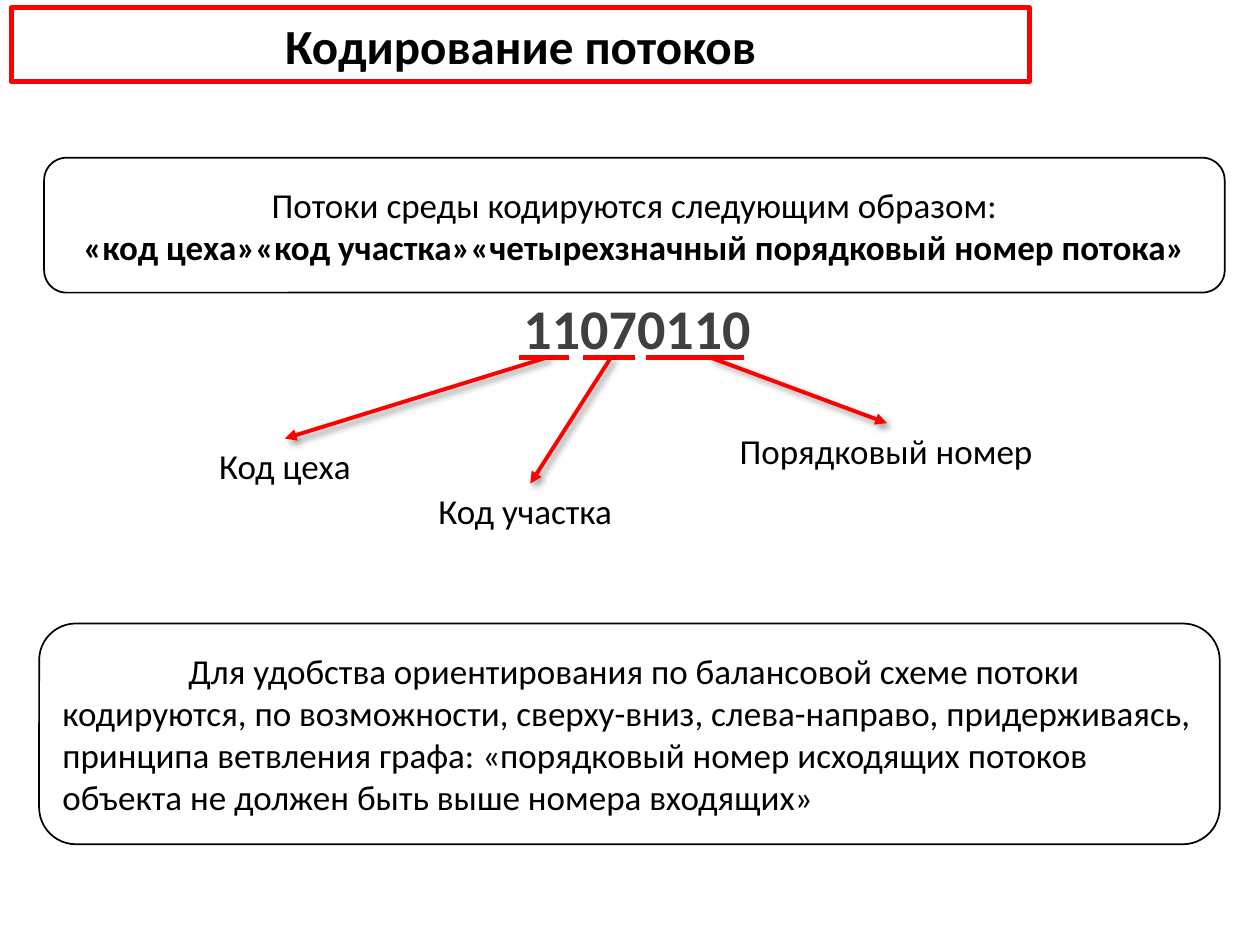
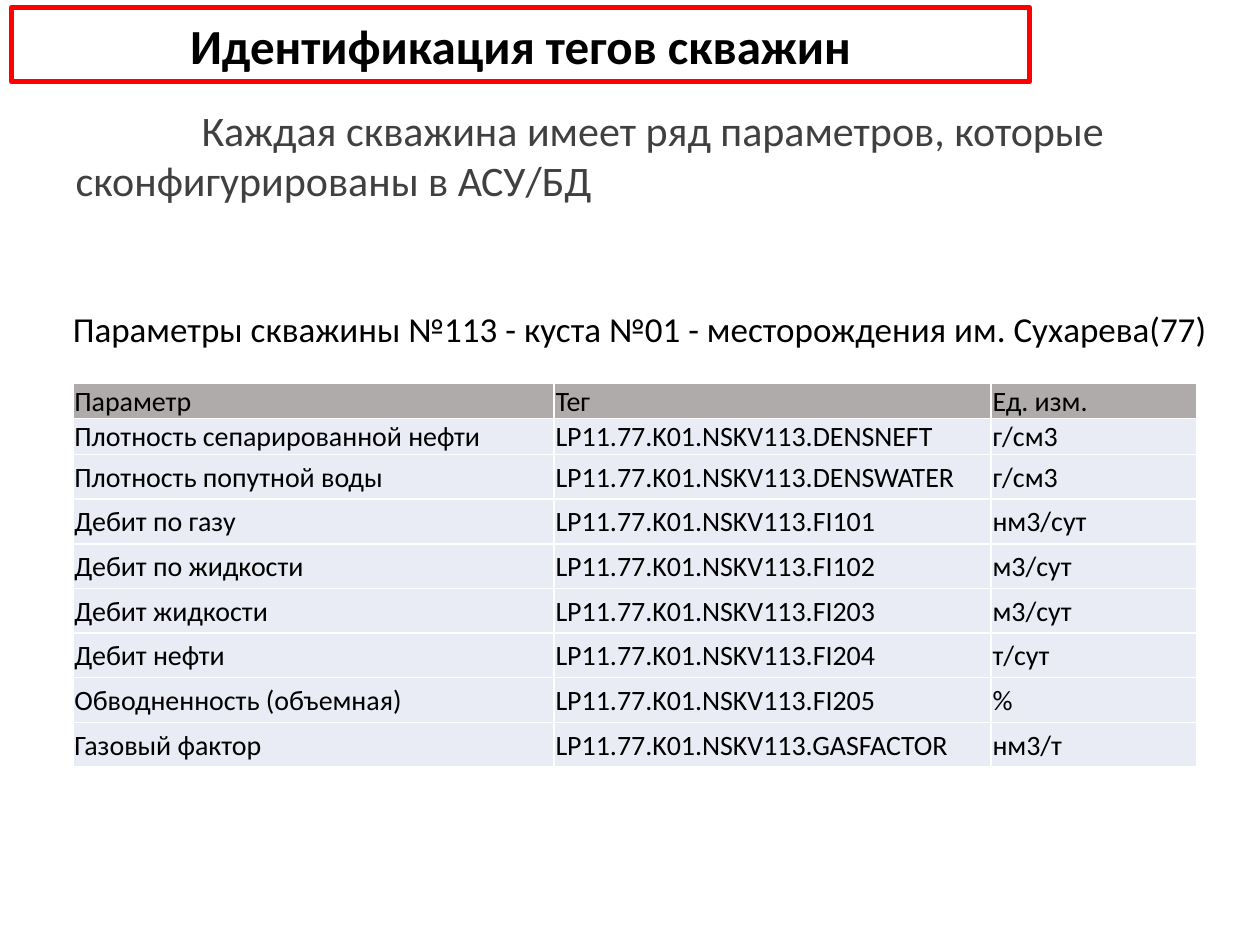
"""Builds two slides on flow coding and well tag identification."""
from dataclasses import dataclass

from lxml.etree import SubElement
from pptx import Presentation
from pptx.dml.color import RGBColor as Rgb
from pptx.enum.shapes import MSO_CONNECTOR as Connector, MSO_SHAPE as Preset
from pptx.enum.text import MSO_ANCHOR as Anchor, MSO_AUTO_SIZE as AutoSize, PP_ALIGN as Align
from pptx.oxml import parse_xml
from pptx.oxml.ns import nsdecls, qn
from pptx.util import Cm, Pt


@dataclass(frozen=True)
class Theme:
    font: str = "Calibri"
    black: Rgb = Rgb(0, 0, 0)
    white: Rgb = Rgb(255, 255, 255)
    red: Rgb = Rgb(255, 0, 0)
    gray: Rgb = Rgb(0x40, 0x40, 0x40)
    header: Rgb = Rgb(0xAF, 0xAB, 0xAB)
    row: Rgb = Rgb(0xE9, 0xEB, 0xF5)
    title_size: int = 28
    code_size: int = 32
    lead_size: int = 24
    text_size: int = 20
    cell_size: int = 16


def assign(target, values):
    for name, value in values.items():
        setattr(target, name, value)


def place(shape, area):
    assign(shape, dict(zip(("left", "top", "width", "height"), map(Cm, area))))


class SlideBuilder:
    def __init__(self, deck, theme):
        self.deck = deck
        self.theme = theme
        self.page = None

    def fill_text(self, frame, lines, size, color=None, bold=False, align=Align.LEFT,
                  anchor=Anchor.TOP, wrap=True, indent=0):
        assign(frame, {"auto_size": AutoSize.NONE, "word_wrap": wrap, "vertical_anchor": anchor})
        for index, line in enumerate(lines):
            para = frame.add_paragraph() if index else frame.paragraphs[0]
            para.alignment = align
            props = para._p.get_or_add_pPr()
            props.set("marL", "0")
            props.set("indent", str(Cm(indent)))
            SubElement(props, qn("a:buNone"))
            span = para.add_run()
            span.text = line
            assign(span.font, {"name": self.theme.font, "size": Pt(size), "bold": bold})
            span.font.color.rgb = color or self.theme.black

    def outline(self, shape, color, width):
        shape.fill.solid()
        shape.fill.fore_color.rgb = self.theme.white
        shape.line.color.rgb = color
        shape.line.width = Pt(width)

    def start(self, heading):
        self.page = self.deck.slides.add_slide(self.deck.slide_layouts[1])
        title = self.page.shapes.title
        place(title, (0.23, 0.15, 20.52, 1.5))
        title._element.spPr.append(
            parse_xml(f'<a:prstGeom {nsdecls("a")} prst="roundRect"><a:avLst/></a:prstGeom>'))
        self.outline(title, self.theme.red, 3)
        self.fill_text(title.text_frame, [heading], self.theme.title_size, bold=True,
                       align=Align.CENTER, anchor=Anchor.MIDDLE)

    def body(self, area, text, size, **style):
        holder = self.page.placeholders[1]
        place(holder, area)
        self.fill_text(holder.text_frame, [text], size, self.theme.gray, **style)

    def panel(self, area, lines, **style):
        box = self.page.shapes.add_shape(Preset.ROUNDED_RECTANGLE, *map(Cm, area))
        box.shadow.inherit = False
        self.outline(box, self.theme.black, 1)
        self.fill_text(box.text_frame, lines, self.theme.text_size, anchor=Anchor.MIDDLE, **style)
        return box

    def label(self, area, text, **style):
        box = self.page.shapes.add_textbox(*map(Cm, area))
        self.fill_text(box.text_frame, [text], self.theme.text_size, **style)

    def line(self, start, end, width, arrow=False):
        link = self.page.shapes.add_connector(Connector.STRAIGHT, *map(Cm, start + end))
        link.line.color.rgb = self.theme.red
        link.line.width = Pt(width)
        effects = SubElement(link._element.spPr, qn("a:effectLst"))
        if arrow:
            SubElement(link.line._ln, qn("a:tailEnd"), type="triangle")
            shadow = SubElement(effects, qn("a:outerShdw"), blurRad=str(Pt(4)),
                                dist=str(Pt(3)), dir="2700000", rotWithShape="0")
            shade = SubElement(shadow, qn("a:srgbClr"), val=str(self.theme.black))
            SubElement(shade, qn("a:alpha"), val="40000")

    def cell(self, cell, text, color):
        assign(cell, {"margin_left": Cm(0.03), "margin_right": Cm(0.03), "margin_top": Cm(0.03),
                      "margin_bottom": 0, "vertical_anchor": Anchor.MIDDLE})
        props = cell._tc.get_or_add_tcPr()
        for side in ("lnL", "lnR", "lnT", "lnB"):
            border = SubElement(props, qn(f"a:{side}"), w=str(Pt(1)))
            fill = SubElement(border, qn("a:solidFill"))
            SubElement(fill, qn("a:srgbClr"), val=str(self.theme.white))
        cell.fill.solid()
        cell.fill.fore_color.rgb = color
        para = cell.text_frame.paragraphs[0]
        span = para.add_run()
        span.text = text
        assign(span.font, {"name": self.theme.font, "size": Pt(self.theme.cell_size), "bold": False})
        span.font.color.rgb = self.theme.black

    def table(self, corner, widths, heights, rows):
        area = (*corner, sum(widths), sum(heights))
        grid = self.page.shapes.add_table(len(rows), len(widths), *map(Cm, area)).table
        assign(grid, {"first_row": False, "horz_banding": False})
        for column, width in zip(grid.columns, widths):
            column.width = Cm(width)
        for index, (height, texts) in enumerate(zip(heights, rows)):
            grid.rows[index].height = Cm(height)
            color = self.theme.row if index else self.theme.header
            for column, text in enumerate(texts):
                self.cell(grid.cell(index, column), text, color)


def flow_coding(builder):
    builder.start("Кодирование потоков")
    builder.panel((0.79, 12.57, 23.8, 4.45), [
        "Для удобства ориентирования по балансовой схеме потоки кодируются, по возможности, "
        "сверху-вниз, слева-направо, придерживаясь, принципа ветвления графа: «порядковый номер "
        "исходящих потоков объекта не должен быть выше номера входящих»"], indent=2.54)
    rule = builder.panel((0.89, 3.18, 23.8, 2.72), [
        "Потоки среды кодируются следующим образом:",
        "«код цеха»«код участка»«четырехзначный порядковый номер потока»"], align=Align.CENTER)
    rule.text_frame.paragraphs[1].runs[0].font.bold = True
    builder.body((2.24, 5.79, 21.21, 2.18), "11070110", builder.theme.code_size,
                 bold=True, align=Align.CENTER)
    baseline = 7.2
    code_parts = [
        ("Код цеха", 10.46, 11.48, 11.05, (5.74, 8.84), 4.17, 3.18),
        ("Код участка", 11.76, 12.8, 12.32, (10.69, 9.75), 8.59, 4.22),
        ("Порядковый номер", 13.03, 14.99, 14.3, (17.88, 8.53), 14.66, 6.45),
    ]
    for name, left, right, origin, tip, label_left, label_width in code_parts:
        builder.line((left, baseline), (right, baseline), 3)
        builder.line((origin, baseline), tip, 2.25, arrow=True)
        builder.label((label_left, tip[1], label_width, 1.12), name, wrap=False)


def well_tags(builder):
    builder.start("Идентификация тегов скважин")
    builder.body((1.27, 1.98, 22.17, 1.27),
                 "Каждая скважина имеет ряд параметров, которые сконфигурированы в АСУ/БД",
                 builder.theme.lead_size, indent=2.54)
    builder.label((0.84, 6.07, 24.13, 1.12),
                  "Параметры скважины №113 - куста №01 - месторождения им. Сухарева(77)",
                  align=Align.CENTER)
    parameters = [
        ("Плотность сепарированной нефти", "DENSNEFT", "г/см3"),
        ("Плотность попутной воды", "DENSWATER", "г/см3"),
        ("Дебит по газу", "FI101", "нм3/сут"),
        ("Дебит по жидкости", "FI102", "м3/сут"),
        ("Дебит жидкости", "FI203", "м3/сут"),
        ("Дебит нефти", "FI204", "т/сут"),
        ("Обводненность (объемная)", "FI205", "%"),
        ("Газовый фактор", "GASFACTOR", "нм3/т"),
    ]
    rows = [("Параметр", "Тег", "Ед. изм.")]
    rows += [(name, f"LP11.77.K01.NSKV113.{tag}", unit) for name, tag, unit in parameters]
    builder.table((1.47, 7.72), (9.7, 8.81, 4.14), [0.71] * 2 + [0.9] * 7, rows)


def main():
    deck = Presentation()
    assign(deck, {"slide_width": Cm(25.4), "slide_height": Cm(19.05)})
    builder = SlideBuilder(deck, Theme())
    flow_coding(builder)
    well_tags(builder)
    deck.save("out.pptx")


if __name__ == "__main__":
    main()
